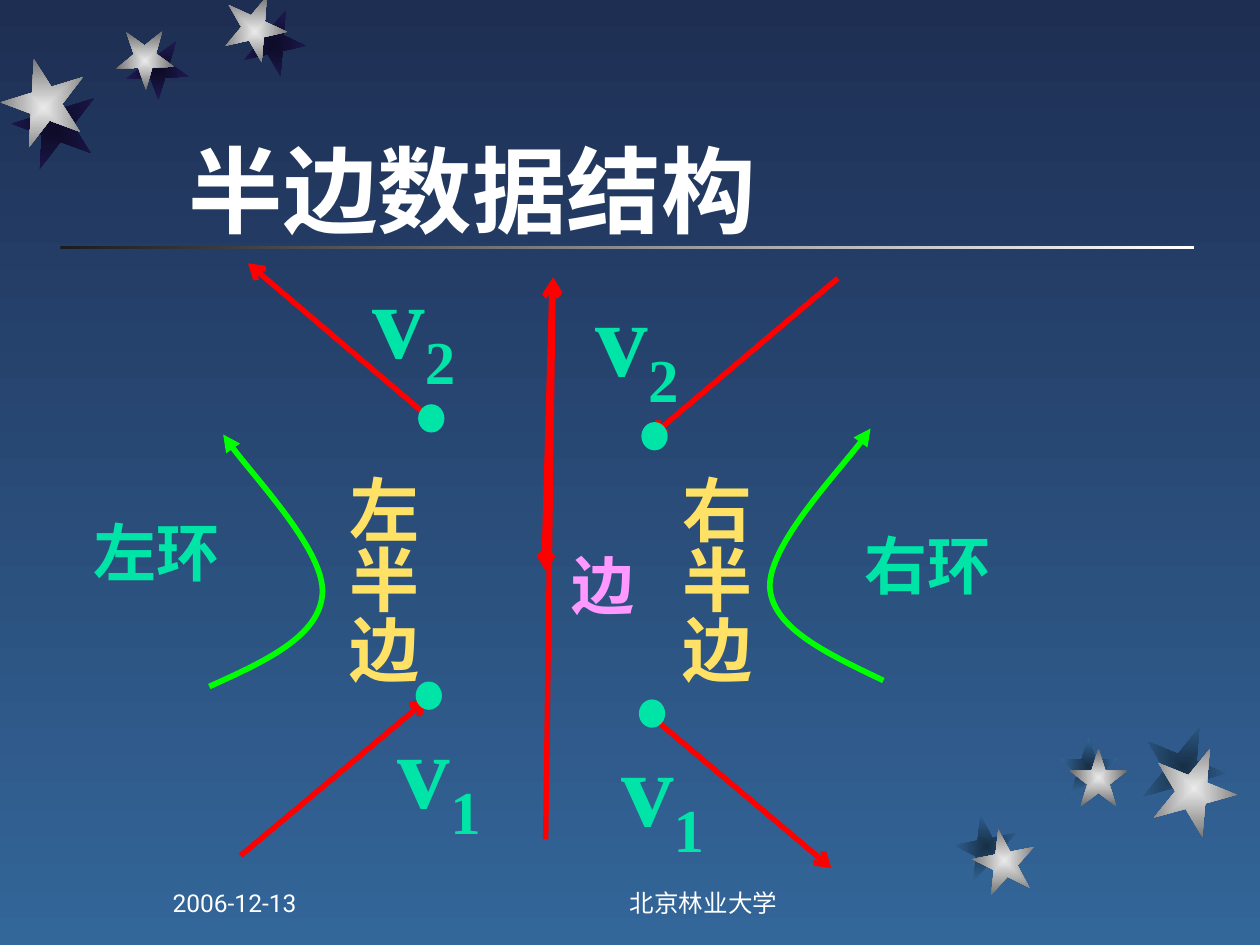
"""Builds the slide on the half-edge data structure."""
from dataclasses import dataclass

from lxml.etree import SubElement
from pptx import Presentation
from pptx.dml.color import RGBColor
from pptx.enum.shapes import MSO_CONNECTOR, MSO_SHAPE
from pptx.enum.text import MSO_ANCHOR, MSO_AUTO_SIZE, PP_ALIGN
from pptx.oxml.ns import qn
from pptx.util import Cm, Pt


@dataclass(frozen=True)
class Theme:
    sky: tuple = ("1E2E53", "336699")
    rule: tuple = ("1C1C1C", "FFFFFF")
    silver: tuple = ("EAEAEA", "6B6B6B")
    night: tuple = ("0D0B26", "1E1A53")
    dusk: tuple = ("172F46", "336699")
    white: str = "FFFFFF"
    edge: str = "FF0000"
    loop: str = "00FF00"
    vertex: str = "00E4A8"
    half: str = "FFE265"
    pink: str = "FF99FF"
    sans: str = "Roboto"
    serif: str = "Times New Roman"
    cjk: str = "Noto Sans CJK SC"
    title_size: float = 54
    vertex_size: float = 60
    half_size: float = 40
    label_size: float = 36
    footer_size: float = 14
    edge_width: float = 3.12
    loop_width: float = 3.25


def add_run(p, text, size, color, font, bold=True, baseline=0):
    r = p.add_run()
    r.text = text
    r.font.size, r.font.bold, r.font.name = Pt(size), bold, font
    r.font.color.rgb = RGBColor.from_string(color)
    rPr = r.font._element
    SubElement(rPr, qn("a:ea"), typeface=Theme.cjk)
    if baseline:
        rPr.set("baseline", str(baseline * 1000))


def set_gradient(fill, colors, angle=0):
    fill.gradient()
    fill.gradient_angle = angle
    for stop, color, position in zip(fill.gradient_stops, colors, (0, 1)):
        stop.color.rgb = RGBColor.from_string(color)
        stop.position = position


class SlideBuilder:
    def __init__(self, slide, theme):
        self.slide, self.theme = slide, theme
        self.shapes = slide.shapes

    def background(self):
        set_gradient(self.slide.background.fill, self.theme.sky, 270)

    def shape(self, kind, x, y, w, h):
        sp = self.shapes.add_shape(kind, Cm(x), Cm(y), Cm(w), Cm(h))
        sp.shadow.inherit = False
        sp.line.fill.background()
        return sp

    def rule(self, x, y, w, h):
        set_gradient(self.shape(MSO_SHAPE.RECTANGLE, x, y, w, h).fill, self.theme.rule)

    def star(self, x, y, w, h, rotation, colors):
        sp = self.shape(MSO_SHAPE.STAR_5_POINT, x, y, w, h)
        sp.rotation = rotation
        set_gradient(sp.fill, colors)
        grad = sp._element.spPr.find(qn("a:gradFill"))
        grad.remove(grad.find(qn("a:lin")))
        path = SubElement(grad, qn("a:path"), path="rect")
        SubElement(path, qn("a:fillToRect"), {side: "50000" for side in "ltrb"})

    def dot(self, x, y):
        sp = self.shape(MSO_SHAPE.OVAL, x, y, 0.53, 0.57)
        sp.fill.solid()
        sp.fill.fore_color.rgb = RGBColor.from_string(self.theme.vertex)

    def outline(self, sp, color, width, end, arrow):
        sp.line.color.rgb = RGBColor.from_string(color)
        sp.line.width = Pt(width)
        spPr = sp._element.spPr
        SubElement(spPr.find(qn("a:ln")), qn(f"a:{end}End"), type=arrow)
        if spPr.find(qn("a:effectLst")) is None:
            SubElement(spPr, qn("a:effectLst"))

    def edge(self, x1, y1, x2, y2, end):
        sp = self.shapes.add_connector(MSO_CONNECTOR.STRAIGHT, Cm(x1), Cm(y1), Cm(x2), Cm(y2))
        self.outline(sp, self.theme.edge, self.theme.edge_width, end, "arrow")

    def loop(self, points):
        start, *rest = [(Cm(x), Cm(y)) for x, y in points]
        builder = self.shapes.build_freeform(*start)
        builder.add_line_segments(rest, close=False)
        sp = builder.convert_to_shape()
        path = sp._element.spPr.find(".//" + qn("a:path"))
        segments = path.findall(qn("a:lnTo"))
        for i in range(0, len(segments), 3):
            curve = SubElement(path, qn("a:cubicBezTo"))
            for segment in segments[i:i + 3]:
                curve.append(segment[0])
                path.remove(segment)
        sp.fill.background()
        sp.shadow.inherit = False
        self.outline(sp, self.theme.loop, self.theme.loop_width, "tail", "triangle")

    def text(self, x, y, w, h, runs, align=PP_ALIGN.LEFT, anchor=MSO_ANCHOR.TOP,
             wrap=False, insets=(0.25, 0.13), vertical=False):
        tf = self.shapes.add_textbox(Cm(x), Cm(y), Cm(w), Cm(h)).text_frame
        tf.word_wrap, tf.vertical_anchor = wrap, anchor
        tf.auto_size = MSO_AUTO_SIZE.NONE if wrap else MSO_AUTO_SIZE.SHAPE_TO_FIT_TEXT
        tf.margin_left = tf.margin_right = Cm(insets[0])
        tf.margin_top = tf.margin_bottom = Cm(insets[1])
        if vertical:
            tf._txBody.bodyPr.set("vert", "eaVert")
        p = tf.paragraphs[0]
        p.alignment = align
        for text, fmt in runs:
            add_run(p, text, **fmt)

    def title(self, text):
        fmt = dict(size=self.theme.title_size, color=self.theme.white, font=self.theme.sans)
        self.text(3.56, 1.02, 19.05, 4.06, [(text, fmt)], anchor=MSO_ANCHOR.BOTTOM, wrap=True)

    def label(self, x, y, w, text, color):
        fmt = dict(size=self.theme.label_size, color=color, font=self.theme.cjk)
        self.text(x, y, w, 1.52, [(text, fmt)], insets=(0, 0))

    def half_edge(self, x, text):
        fmt = dict(size=self.theme.half_size, color=self.theme.half, font=self.theme.serif)
        self.text(x, 9.32, 2.18, 4.5, [(text, fmt)], insets=(0.13, 0.25), vertical=True)

    def vertex_name(self, x, y, index):
        fmt = dict(size=self.theme.vertex_size, color=self.theme.vertex, font=self.theme.serif)
        self.text(x, y, 2.18, 3.15, [("v", fmt), (index, dict(fmt, baseline=-25))])

    def footer(self, x, w, text, align):
        fmt = dict(size=self.theme.footer_size, color=self.theme.white,
                   font=self.theme.sans, bold=False)
        self.text(x, 17.35, w, 1.27, [(text, fmt)], align, MSO_ANCHOR.BOTTOM, wrap=True)


def main():
    prs = Presentation()
    prs.slide_width, prs.slide_height = Cm(25.4), Cm(19.05)
    theme = Theme()
    s = SlideBuilder(prs.slides.add_slide(prs.slide_layouts[6]), theme)

    s.background()
    s.rule(1.22, 4.95, 22.86, 0.08)
    star_groups = [
        (theme.night, [(4.88, 0.28, 1.27, 1.27, 167.3), (2.54, 0.84, 1.27, 1.17, 178.3),
                       (0.25, 1.75, 1.7, 1.7, 200.3)]),
        (theme.silver, [(4.5, 0, 1.27, 1.27, 167.3), (2.34, 0.64, 1.17, 1.17, 178.3),
                        (0.03, 1.32, 1.7, 1.7, 200.3)]),
        (theme.dusk, [(19.25, 16.43, 1.27, 1.27, 349), (21.36, 14.86, 1.17, 1.17, 0),
                      (23.01, 14.61, 1.7, 1.7, 22)]),
        (theme.silver, [(19.61, 16.71, 1.27, 1.27, 349), (21.56, 15.09, 1.17, 1.17, 0),
                        (23.22, 15.04, 1.7, 1.7, 22)]),
    ]
    for colors, stars in star_groups:
        for star in stars:
            s.star(*star, colors)

    s.title("半边数据结构")
    s.label(11.53, 11.02, 1.27, "边", theme.pink)
    s.label(17.42, 10.62, 2.54, "右环", theme.vertex)
    s.label(1.88, 10.36, 2.54, "左环", theme.vertex)

    for edge in [
        (11.15, 5.59, 11, 16.92, "head"),
        (4.85, 17.25, 8.61, 14.1, "tail"),
        (13, 14.33, 16.76, 17.5, "tail"),
        (13.11, 8.81, 16.89, 5.61, "head"),
        (5, 5.31, 8.76, 8.51, "head"),
        (11.13, 5.64, 10.97, 11.33, "head"),
        (11.15, 5.79, 11, 11.51, "tail"),
    ]:
        s.edge(*edge)
    s.loop([(4.22, 13.84), (5.33, 13.34), (6.45, 12.83), (6.5, 11.96),
            (6.55, 11.13), (4.83, 9.3), (4.5, 8.76)])
    s.loop([(17.81, 13.72), (16.69, 13.18), (15.57, 12.67), (15.52, 11.84),
            (15.49, 11), (17.22, 9.17), (17.55, 8.64)])

    s.half_edge(6.5, "左半边")
    s.half_edge(13.21, "右半边")
    for dx, dy in [(0, 0), (4.5, 0.36)]:
        s.dot(8.43 + dx, 8.15 + dy)
        s.vertex_name(7.26 + dx, 4.98 + dy, "2")
        s.vertex_name(7.77 + dx, 14.05 + dy, "1")
        s.dot(8.38 + dx, 13.74 + dy)

    s.footer(10.16, 8.05, "北京林业大学", PP_ALIGN.CENTER)
    s.footer(3.23, 5.28, "2006-12-13", PP_ALIGN.LEFT)
    prs.save("out.pptx")


if __name__ == "__main__":
    main()
